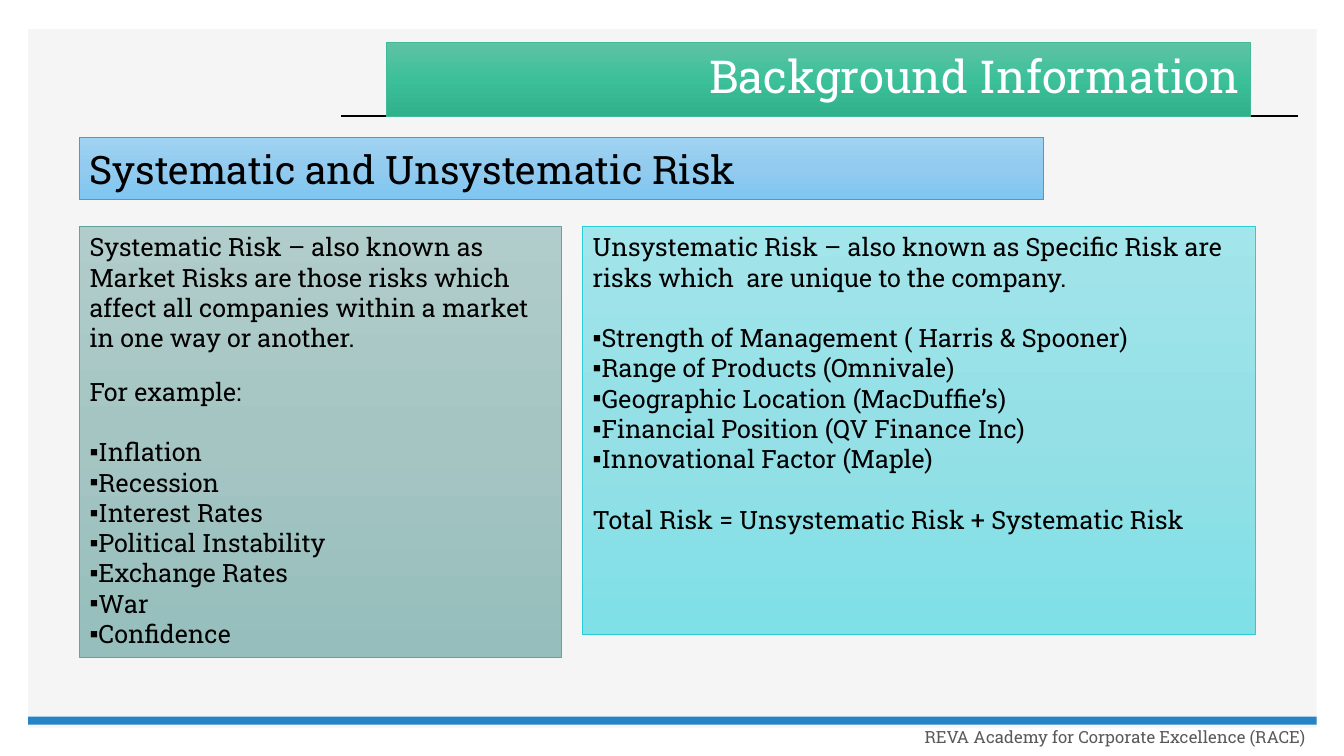
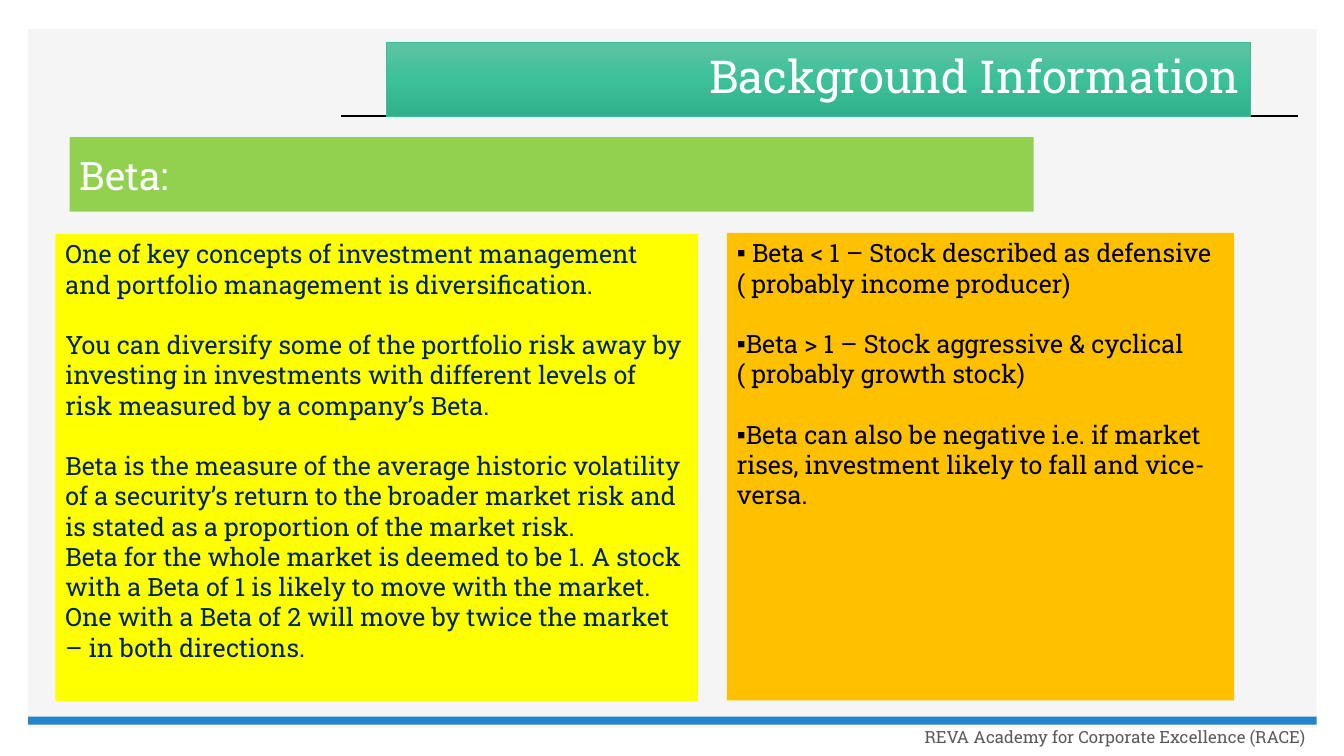
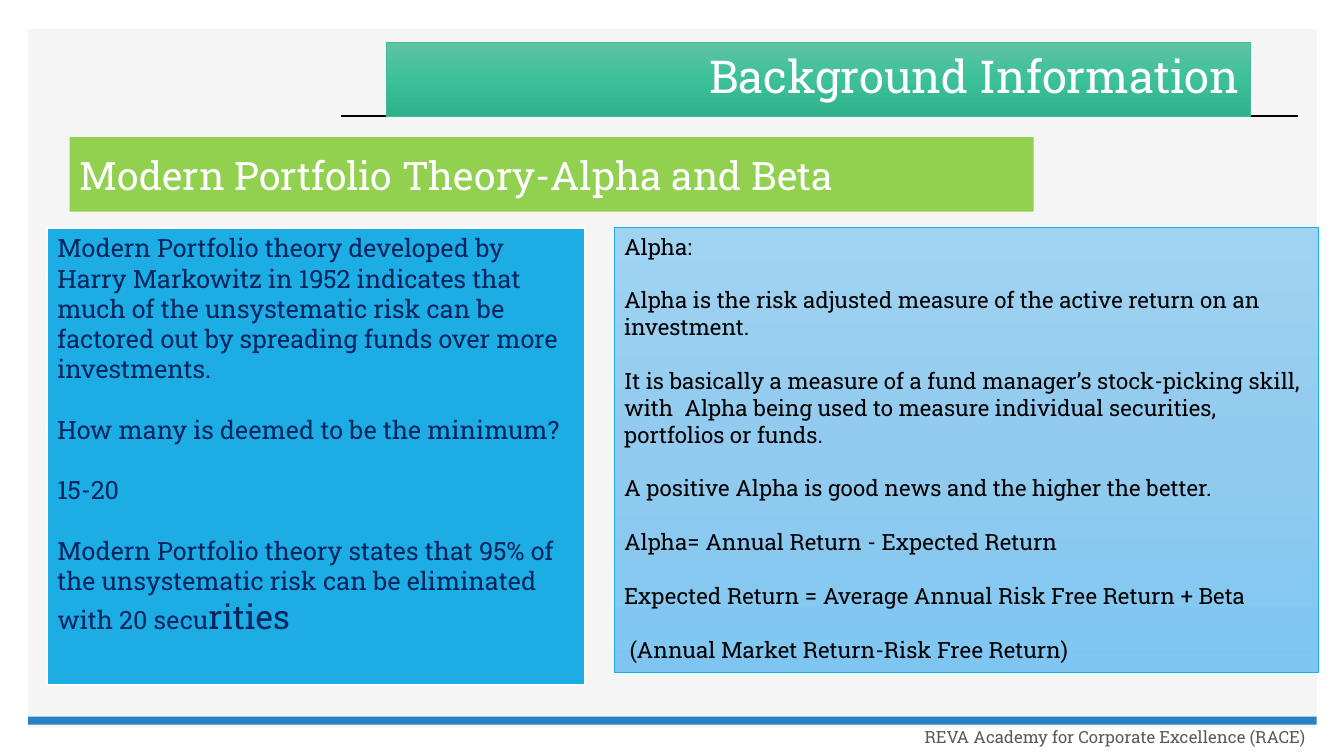
from copy import deepcopy
from dataclasses import dataclass

from lxml import etree
from pptx import Presentation
from pptx.dml.color import RGBColor
from pptx.enum.shapes import MSO_CONNECTOR, MSO_SHAPE
from pptx.enum.text import MSO_ANCHOR, MSO_AUTO_SIZE, PP_ALIGN
from pptx.oxml.ns import qn
from pptx.util import Inches, Pt

RECT = MSO_SHAPE.RECTANGLE
STRAIGHT = MSO_CONNECTOR.STRAIGHT
LEFT, RIGHT = PP_ALIGN.LEFT, PP_ALIGN.RIGHT
TOP, MIDDLE = MSO_ANCHOR.TOP, MSO_ANCHOR.MIDDLE
NO_FIT = MSO_AUTO_SIZE.NONE

WIDTH, HEIGHT = Inches(13.33), Inches(7.5)
FONT = "Roboto Slab"
LINE = 1.2
TITLE_ONLY = 5

BLACK, WHITE, NAVY, GREY = "000000", "FFFFFF", "00245E", "595959"
PAGE, BAND = "F5F5F5", "2683C6"
LIME, YELLOW, AMBER, SKY = "92D050", "FFFF00", "FFC000", "1CADE4"
GREEN, TEAL = "42BA97", "62A39F"
AQUA = "27CED7"
GREEN_FADE = ("5FC3A3", "3CC09A", "30B08B")
SKY_FADE = ("A0D3F2", "92CBEF", "7EC6F1")
TEAL_FADE = ("B1CDCB", "A5C5C3", "95BEBC")
AQUA_FADE = ("A2E5EB", "94E0E6", "7FE0E7")


@dataclass
class Para:
    runs: tuple
    gap: float = 0
    bullet: bool = False


def para(text, gap=0, bullet=False):
    return Para(((text, None),), gap, bullet)


def bullets(*texts, first_gap=0, gap=0):
    return [para(t, gap if i else first_gap, True) for i, t in enumerate(texts)]


def color(value):
    return RGBColor.from_string(value)


def across(percent):
    return round(WIDTH * percent / 100)


def down(percent):
    return round(HEIGHT * percent / 100)


def place(left, top, width, height):
    return across(left), down(top), across(width), down(height)


def paint(sp, fill, line=None, weight=0.5):
    if isinstance(fill, tuple):
        sp.fill.gradient()
        sp.fill.gradient_angle = 270
        stops = sp.element.spPr.find(".//" + qn("a:gsLst"))
        stops.insert(1, deepcopy(stops[0]))
        for i, (stop, value) in enumerate(zip(sp.fill.gradient_stops, fill)):
            stop.position = i / 2
            stop.color.rgb = color(value)
    else:
        sp.fill.solid()
        sp.fill.fore_color.rgb = color(fill)
    if line:
        sp.line.color.rgb = color(line)
        sp.line.width = Pt(weight)
    else:
        sp.line.fill.background()


def write(sp, paras, size, ink, align=LEFT, anchor=TOP, spacing=None):
    tf = sp.text_frame
    tf.word_wrap = True
    tf.auto_size = NO_FIT
    tf.vertical_anchor = anchor
    for i, item in enumerate(paras):
        p = tf.add_paragraph() if i else tf.paragraphs[0]
        p.alignment = align
        p.space_before = Pt(item.gap * LINE)
        if spacing:
            p.line_spacing = spacing
        if item.bullet:
            pPr = p._p.get_or_add_pPr()
            etree.SubElement(pPr, qn("a:buFont")).set("typeface", "Arial")
            etree.SubElement(pPr, qn("a:buChar")).set("char", "▪")
        for text, run_size in item.runs:
            r = p.add_run()
            r.text = text
            r.font.name = FONT
            r.font.size = Pt(run_size or size)
            r.font.bold = False
            r.font.color.rgb = color(ink)


def add_rect(s, box, fill, line=None, weight=0.5):
    sp = s.shapes.add_shape(RECT, *place(*box))
    sp.shadow.inherit = False
    paint(sp, fill, line, weight)
    return sp


def add_rule(s, left, right, y):
    c = s.shapes.add_connector(STRAIGHT, across(left), down(y), across(right), down(y))
    c.line.color.rgb = color(BLACK)
    c.line.width = Pt(1)
    etree.SubElement(c.element.spPr, qn("a:effectLst"))
    return c


def add_footer(s):
    sp = s.shapes.add_textbox(*place(65.27, 94.4, 32.63, 6.4))
    write(sp, [para("REVA Academy for Corporate Excellence (RACE)")], 12, GREY,
          RIGHT, MIDDLE, 0.9)
    return sp


def furnish_layout(layout, s):
    tree = layout.shapes.element
    for ph in list(layout.placeholders):
        if ph.placeholder_format.idx:
            tree.remove(ph.element)
    shared = [
        add_rect(s, (2.1, 3.87, 95.87, 92.4), PAGE),
        add_rule(s, 25.36, 96.55, 15.33),
        add_rect(s, (2.1, 94.8, 95.87, 1.07), BAND),
        add_footer(s),
    ]
    for sp in shared:
        tree.append(sp.element)


def add_title(s):
    sp = s.shapes.title
    sp.left, sp.top, sp.width, sp.height = place(28.73, 5.6, 64.29, 9.73)
    paint(sp, GREEN_FADE, GREEN)
    write(sp, [para("Background Information")], 32.4, WHITE, RIGHT, MIDDLE, 0.9)


def add_heading(s, text, left=5.18, height=9.87, fill=LIME, line=None, ink=WHITE):
    sp = add_rect(s, (left, 18.13, 71.72, height), fill, line)
    write(sp, [para(text)], 28, ink, anchor=MIDDLE)


def add_panel(s, box, paras, fill, line=None, weight=0.5, size=18, ink=BLACK):
    write(add_rect(s, box, fill, line, weight), paras, size, ink)


def risk_slide(s):
    add_heading(s, "Systematic and Unsystematic Risk", 5.93, 8.27, SKY_FADE, SKY, BLACK)
    add_panel(s, (5.93, 30, 35.86, 56.93), [
        para("Systematic Risk – also known as Market Risks are those risks which"),
        para("affect all companies within a market in one way or another."),
        para("For example:", 14),
        *bullets("Inflation", "Recession", "Interest Rates", "Political Instability",
                 "Exchange Rates", "War", "Confidence", first_gap=18),
    ], TEAL_FADE, TEAL)
    add_panel(s, (43.36, 30, 50.04, 53.87), [
        para("Unsystematic Risk – also known as Specific Risk are risks which  are "
             "unique to the company."),
        *bullets("Strength of Management ( Harris & Spooner)",
                 "Range of Products (Omnivale)",
                 "Geographic Location (MacDuffie’s)",
                 "Financial Position (QV Finance Inc)",
                 "Innovational Factor (Maple)", first_gap=18),
        para("Total Risk = Unsystematic Risk + Systematic Risk", 18),
    ], AQUA_FADE, AQUA)


def beta_slide(s):
    add_heading(s, "Beta:")
    add_panel(s, (4.13, 30.93, 47.79, 61.87), [
        para("One of key concepts of investment management and portfolio management "
             "is diversification."),
        para("You can diversify some of the portfolio risk away by investing in "
             "investments with different levels of risk measured by a company’s Beta.", 18),
        para("Beta is the measure of the average historic volatility of a security’s "
             "return to the broader market risk and is stated as a proportion of the "
             "market risk.", 18),
        para("Beta for the whole market is deemed to be 1. A stock with a Beta of 1 is "
             "likely to move with the market. One with a Beta of 2 will move by twice "
             "the market – in both directions."),
    ], YELLOW, ink=NAVY)
    add_panel(s, (54.09, 30.8, 37.73, 61.87), bullets(
        " Beta < 1 – Stock described as defensive ( probably income producer)",
        "Beta > 1 – Stock aggressive & cyclical ( probably growth stock)",
        "Beta can also be negative i.e. if market rises, investment likely to fall "
        "and vice-versa.", gap=18), AMBER)


def theory_slide(s):
    add_heading(s, "Modern Portfolio Theory-Alpha and Beta")
    add_panel(s, (3.53, 30.13, 39.98, 60.53), [
        para("Modern Portfolio theory developed by Harry Markowitz in 1952 indicates "
             "that much of the unsystematic risk can be factored out by spreading "
             "funds over more investments."),
        para("How many is deemed to be the minimum?", 18),
        para("15-20", 18),
        Para((("Modern Portfolio theory states that 95% of the unsystematic risk can "
               "be eliminated with 20 secu", None), ("rities", 24)), 18),
    ], SKY, WHITE, 1.5, ink=NAVY)
    alpha = (
        "Alpha:",
        "Alpha is the risk adjusted measure of the active return on an investment.",
        "It is basically a measure of a fund manager’s stock-picking skill, with  Alpha "
        "being used to measure individual securities, portfolios or funds.",
        "A positive Alpha is good news and the higher the better.",
        "Alpha= Annual Return - Expected Return",
        "Expected Return = Average Annual Risk Free Return + Beta",
        " (Annual Market Return-Risk Free Return)",
    )
    add_panel(s, (45.69, 30.13, 52.44, 58.8),
              [para(t, 16 if i else 0) for i, t in enumerate(alpha)],
              SKY_FADE, SKY, size=16)


def main():
    prs = Presentation()
    prs.slide_width, prs.slide_height = WIDTH, HEIGHT
    layout = prs.slide_layouts[TITLE_ONLY]
    for i, build in enumerate((risk_slide, beta_slide, theory_slide)):
        s = prs.slides.add_slide(layout)
        if i == 0:
            furnish_layout(layout, s)
        add_title(s)
        build(s)
    prs.save("out.pptx")


if __name__ == "__main__":
    main()
